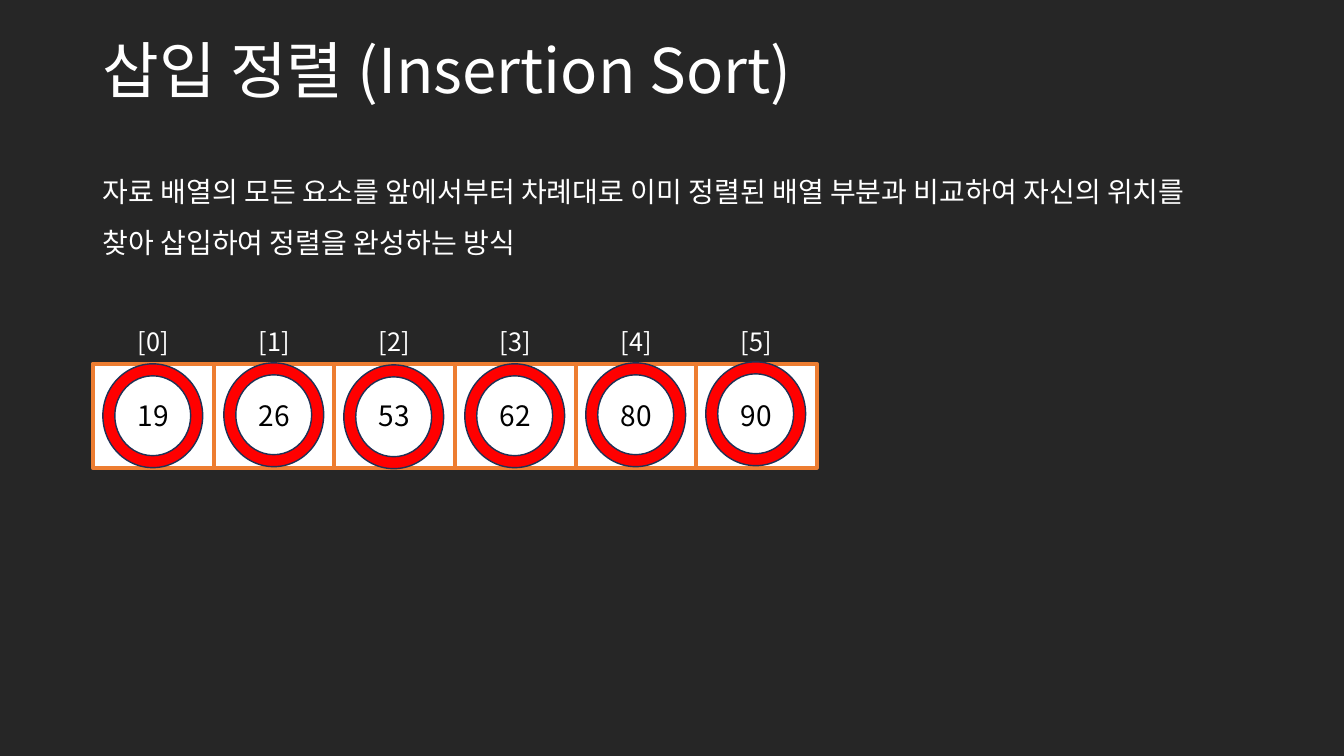
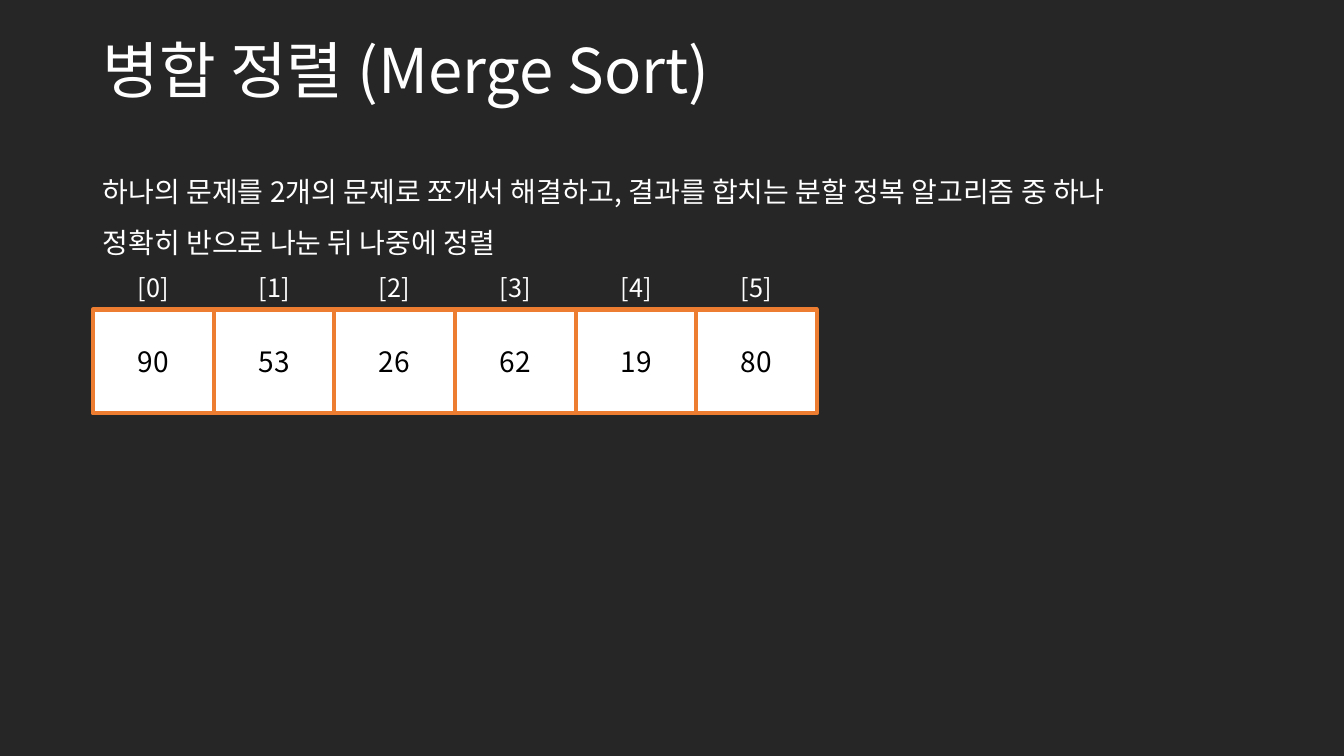
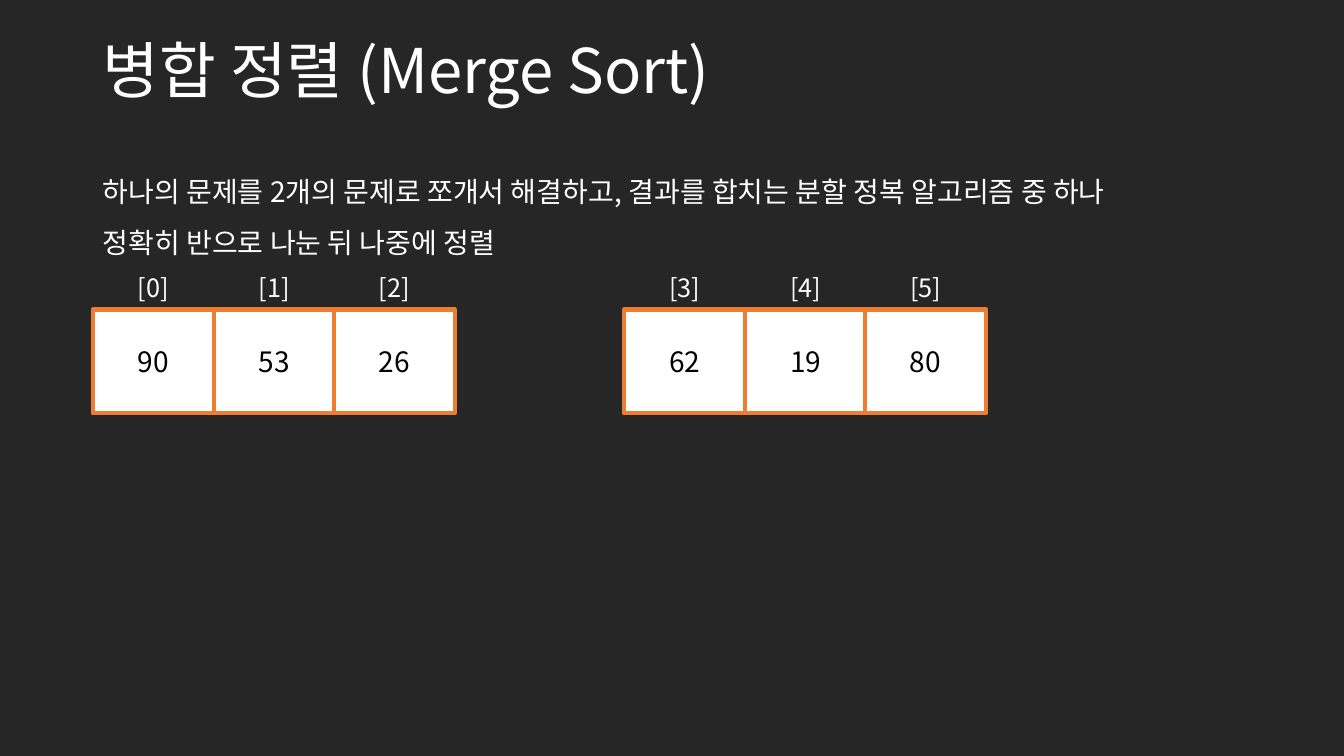
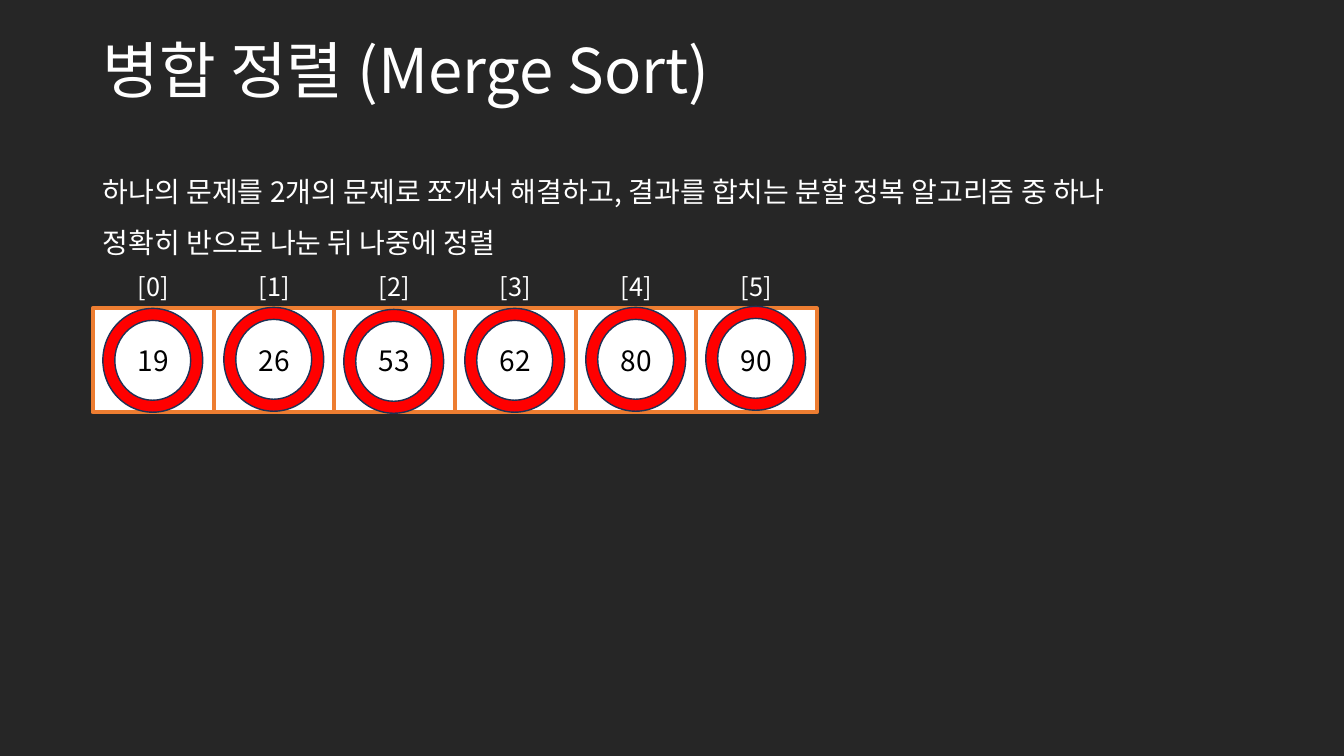
from collections import namedtuple

from lxml import etree
from pptx import Presentation
from pptx import util as u
from pptx.dml.color import RGBColor
from pptx.enum import shapes, text
from pptx.oxml.ns import qn

EMU_PER_PX = 9144
FONT = "Noto Sans CJK KR"
BACKGROUND, WHITE, BLACK = "262626", "FFFFFF", "000000"
ORANGE, RED, NAVY = "ED7D31", "FF0000", "1E3256"

Box = namedtuple("Box", "left top width height")
TITLE_BOX = Box(92, 18, 1150, 109)
DESCRIPTION_BOX = Box(92, 152, 1150, 107)
CELL_WIDTH, CELL_HEIGHT = 120, 103
RING_SHIFTS = (0, -1, 1, 0, -1, -2)

TITLE_FORMAT = {"size": 44, "align": text.PP_ALIGN.LEFT, "spacing": 0.9}
DESCRIPTION_FORMAT = {"size": 20, "align": text.PP_ALIGN.LEFT, "spacing": 1.5}
VALUE_FORMAT = {"size": 20, "align": text.PP_ALIGN.CENTER, "color": BLACK}
INDEX_FORMAT = {"size": 18, "align": text.PP_ALIGN.CENTER}

MERGE_TITLE = "병합 정렬 (Merge Sort)"
MERGE_LINES = (
    "하나의 문제를 2개의 문제로 쪼개서 해결하고, 결과를 합치는 분할 정복 알고리즘 중 하나",
    "정확히 반으로 나눈 뒤 나중에 정렬",
)
UNSORTED = (90, 53, 26, 62, 19, 80)
SORTED = (19, 26, 53, 62, 80, 90)


def px(length):
    """Turn px into EMU."""
    return u.Emu(length * EMU_PER_PX)


def place(box):
    """Turn a px box into EMU lengths."""
    return [px(length) for length in box]


def rgb(color):
    """Turn a hex string into a colour."""
    return RGBColor.from_string(color)


def set_attributes(target, values):
    """Set each named attribute of an object."""
    for name, value in values.items():
        setattr(target, name, value)


def write(text_frame, lines, size, align, color=WHITE, spacing=None):
    """Fill a text frame with one formatted paragraph for each line."""
    text_frame.word_wrap = True
    text_frame.text = "\n".join(lines)
    for paragraph in text_frame.paragraphs:
        set_attributes(paragraph, {"alignment": align, "line_spacing": spacing})
        for run in paragraph.runs:
            set_attributes(run.font, {"name": FONT, "size": u.Pt(size)})
            run.font.color.rgb = rgb(color)
            properties = run.font._element
            etree.SubElement(properties, qn("a:ea"), typeface=FONT)


def add_title(slide, box, title):
    """Put the title in its placeholder."""
    shape = slide.shapes.title
    set_attributes(shape, dict(zip(box._fields, place(box))))
    set_attributes(shape.text_frame, {
        "vertical_anchor": text.MSO_ANCHOR.MIDDLE,
        "auto_size": text.MSO_AUTO_SIZE.NONE,
    })
    write(shape.text_frame, [title], **TITLE_FORMAT)


def add_text(slide, box, lines, text_format):
    """Add a text box that grows with its text."""
    text_frame = slide.shapes.add_textbox(*place(box)).text_frame
    text_frame.auto_size = text.MSO_AUTO_SIZE.SHAPE_TO_FIT_TEXT
    write(text_frame, lines, **text_format)


def add_preset(slide, kind, box, fill, line, line_width):
    """Add a filled and outlined preset shape."""
    shape = slide.shapes.add_shape(kind, *place(box))
    shape.shadow.inherit = False
    shape.fill.solid()
    shape.fill.fore_color.rgb = rgb(fill)
    shape.line.color.rgb = rgb(line)
    shape.line.width = u.Pt(line_width)
    return shape


def add_cell(slide, box, index, value):
    """Add an array cell with its index above it."""
    cell = add_preset(slide, shapes.MSO_SHAPE.RECTANGLE, box, WHITE, ORANGE, 3)
    cell.text_frame.vertical_anchor = text.MSO_ANCHOR.MIDDLE
    write(cell.text_frame, [str(value)], **VALUE_FORMAT)
    label_box = Box(box.left + 13, box.top - 42, 94, 42)
    add_text(slide, label_box, [f"[{index}]"], INDEX_FORMAT)


def add_ring(slide, box, shift):
    """Mark a sorted cell with a red ring."""
    ring_box = Box(box.left + 10, box.top + shift, 99, box.height)
    ring = add_preset(slide, shapes.MSO_SHAPE.DONUT, ring_box, RED, NAVY, 1)
    ring.adjustments[0] = 0.12


def add_array(slide, box, values, first_index=0, ringed=False):
    """Divide a box into equal cells, ringed if they are sorted."""
    cells = [
        Box(box.left + round(box.width * i / len(values)), box.top, CELL_WIDTH, box.height)
        for i in range(len(values))
    ]
    for i, (cell, value) in enumerate(zip(cells, values)):
        add_cell(slide, cell, first_index + i, value)
    if ringed:
        for cell, shift in zip(cells, RING_SHIFTS):
            add_ring(slide, cell, shift)


def add_sort_slide(presentation, title, lines, arrays):
    """Add a slide with a title, a description and arrays."""
    slide = presentation.slides.add_slide(presentation.slide_layouts[5])
    add_title(slide, TITLE_BOX, title)
    add_text(slide, DESCRIPTION_BOX, lines, DESCRIPTION_FORMAT)
    for array in arrays:
        add_array(slide, **array)


def main():
    """Build and save the presentation."""
    presentation = Presentation()
    set_attributes(presentation, {"slide_width": px(1333), "slide_height": px(750)})
    background = presentation.slide_master.background.fill
    background.solid()
    background.fore_color.rgb = rgb(BACKGROUND)

    add_sort_slide(
        presentation,
        "삽입 정렬 (Insertion Sort)",
        ["자료 배열의 모든 요소를 앞에서부터 차례대로 이미 정렬된 배열 부분과 비교하여 "
         "자신의 위치를 찾아 삽입하여 정렬을 완성하는 방식"],
        [{"box": Box(92, 361, 718, CELL_HEIGHT), "values": SORTED, "ringed": True}],
    )
    whole = {"box": Box(92, 307, 718, CELL_HEIGHT), "values": UNSORTED}
    halves = [
        {"box": Box(left, 307, 359, CELL_HEIGHT),
         "values": UNSORTED[first:first + 3], "first_index": first}
        for left, first in ((92, 0), (619, 3))
    ]
    merged = {"box": Box(92, 306, 718, CELL_HEIGHT), "values": SORTED, "ringed": True}
    for arrays in ([whole], halves, [merged]):
        add_sort_slide(presentation, MERGE_TITLE, MERGE_LINES, arrays)
    presentation.save("out.pptx")


if __name__ == "__main__":
    main()
